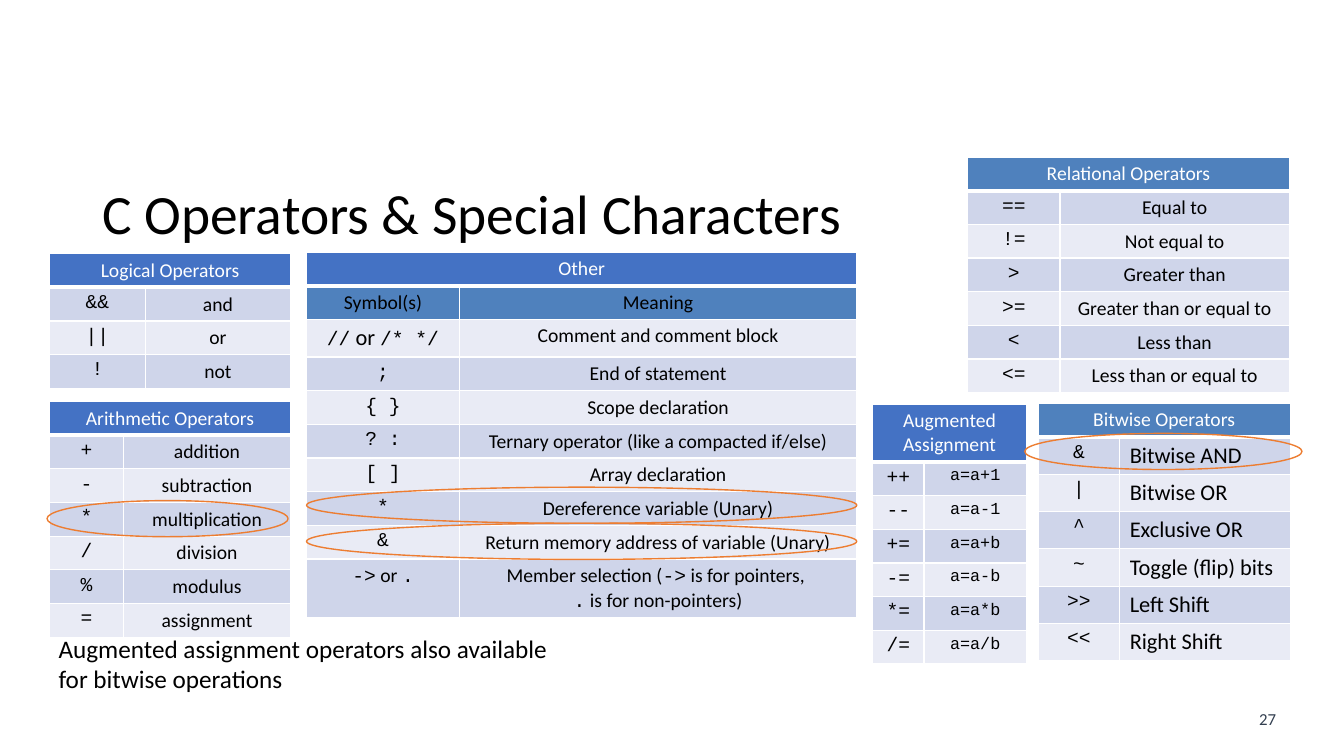
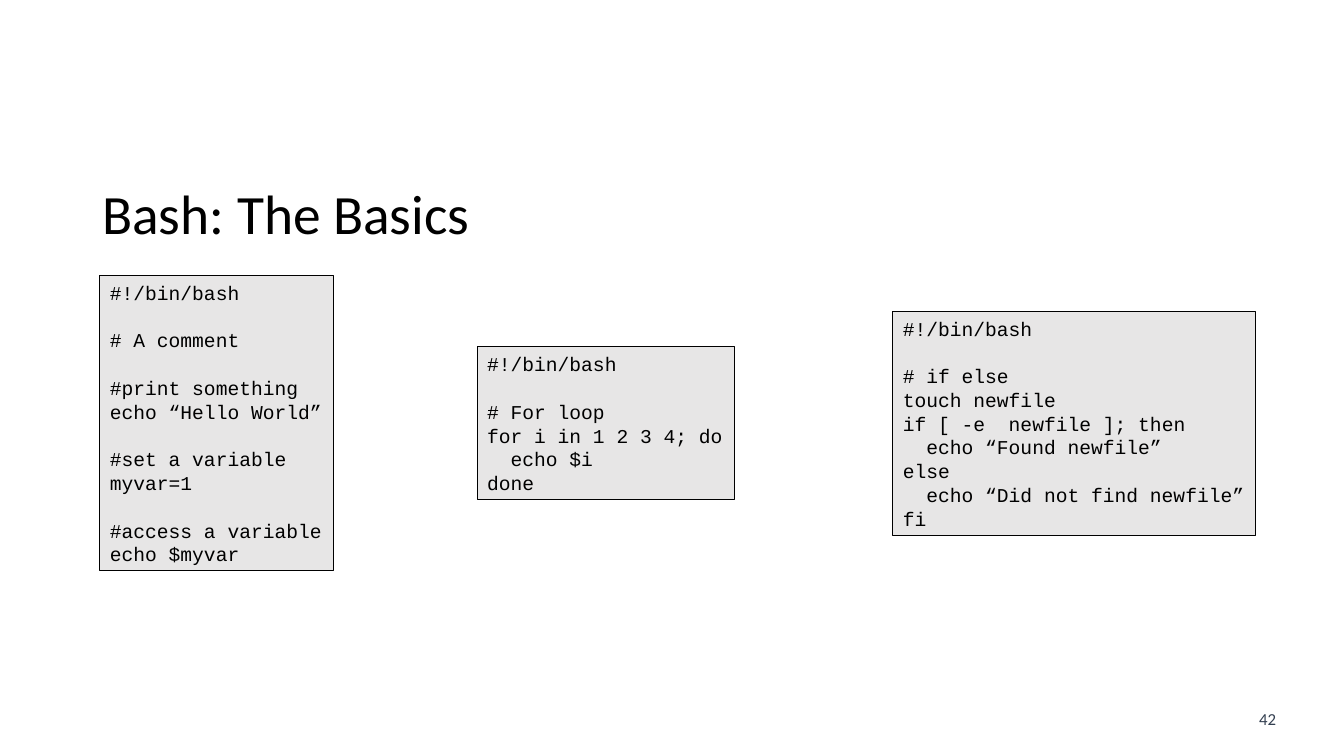
"""Build two programming reference slides: C operators and Bash basics."""
from dataclasses import dataclass
from typing import NamedTuple

from lxml.etree import SubElement
from pptx import Presentation
from pptx.dml.color import RGBColor
from pptx.enum.shapes import MSO_SHAPE as Shape
from pptx.enum.text import MSO_ANCHOR as Anchor, PP_ALIGN as Align
from pptx.oxml.ns import qn
from pptx.util import Inches, Length, Pt

COLUMNS, ROWS = 160, 90
UNIT = Inches(7.5) / ROWS
PROSE, CODE = "Calibri", "Courier New"
BLACK, WHITE, SLATE, PANEL = "000000", "FFFFFF", "333F50", "E7E6E6"
BLUE, STEEL, ORANGE = "4472C4", "4F81BD", "ED7D31"
BANDS = ("E9EBF5", "CFD5EA")
LINE_PITCH, CHARACTER = 2.83, 1.4
CODE_MIDDLE = 50.4
RING_HEIGHT = 4.3


class Area(NamedTuple):
    left: float
    top: float
    width: float
    height: float


class Span(NamedTuple):
    text: str
    font: str = PROSE
    size: float = 14
    color: str = BLACK


Cell = str | tuple[Span, ...]


@dataclass
class OperatorTable:
    title: str
    left: float
    top: float
    columns: tuple[float, float]
    heights: tuple[float, ...]
    rows: list[tuple[Cell, Cell]]
    head_fill: str = BLUE
    font: str = PROSE
    size: float = 14
    align: Align = Align.CENTER
    has_subhead: bool = False


@dataclass
class CodePanel:
    left: float
    text: str


TABLES = [
    OperatorTable("Relational Operators", 115.2, 18.7, (11, 27.3), (4,) * 7, [
        ("==", "Equal to"), ("!=", "Not equal to"), (">", "Greater than"),
        (">=", "Greater than or equal to"), ("<", "Less than"),
        ("<=", "Less than or equal to")], head_fill=STEEL),
    OperatorTable("Arithmetic Operators", 5.9, 47.8, (8.8, 19.9), (4,) * 7, [
        ("+", "addition"), ("-", "subtraction"), ("*", "multiplication"),
        ("/", "division"), ("%", "modulus"), ("=", "assignment")]),
    OperatorTable("Augmented Assignment", 103.9, 48.1, (6.1, 12.2), (6.9,) + (3.86,) * 6, [
        ("++", "a=a+1"), ("--", "a=a-1"), ("+=", "a=a+b"),
        ("-=", "a=a-b"), ("*=", "a=a*b"), ("/=", "a=a/b")], font=CODE, size=12),
    OperatorTable("Other", 36.5, 30, (18.2, 47.3), (4, 4, 4.5) + (4,) * 6 + (7,), [
        ((Span("Symbol(s)"),), "Meaning"),
        ((Span("//", CODE), Span(" or ", size=16), Span("/* */", CODE)),
         "Comment and comment block"),
        (";", "End of statement"), ("{ }", "Scope declaration"),
        ("? :", "Ternary operator (like a compacted if/else)"),
        ("[ ]", "Array declaration"), ("*", "Dereference variable (Unary)"),
        ("&", "Return memory address of variable (Unary)"),
        ((Span("->", CODE), Span(" or "), Span(".", CODE)),
         (Span("Member selection ("), Span("->", CODE), Span(" is for pointers, \n"),
          Span(".", CODE), Span(" is for non-pointers)")))], has_subhead=True),
    OperatorTable("Logical Operators", 5.9, 30.2, (11.4, 17.3), (4,) * 4, [
        ("&&", "and"), ("||", "or"), ("!", "not")]),
    OperatorTable("Bitwise Operators", 123.6, 48, (9.7, 20.3), (4,) + (4.45,) * 6, [
        ("&", "Bitwise AND"), ("|", "Bitwise OR"), ("^", "Exclusive OR"),
        ("~", "Toggle (flip) bits"), (">>", "Left Shift"), ("<<", "Right Shift")],
        head_fill=STEEL, size=16, align=Align.LEFT),
]

RINGS = [(5.6, 59.6, 28.7), (36.5, 58, 65.5), (36.5, 62.3, 65.5), (122, 51.6, 33)]

PANELS = [
    CodePanel(11.9, """#!/bin/bash

# A comment

#print something
echo “Hello World”

#set a variable
myvar=1

#access a variable
echo $myvar"""),
    CodePanel(56.8, """#!/bin/bash

# For loop
for i in 1 2 3 4; do
  echo $i
done"""),
    CodePanel(106.3, """#!/bin/bash

# if else
touch newfile
if [ -e  newfile ]; then
  echo “Found newfile”
else
  echo “Did not find newfile”
fi"""),
]


def grid(units: float) -> Length:
    return Length(round(units * UNIT))


def place(area: Area) -> tuple[Length, ...]:
    return tuple(grid(value) for value in area)


def color(value: str) -> RGBColor:
    return RGBColor.from_string(value)


def add_span(para, span: Span) -> None:
    for index, piece in enumerate(span.text.split("\n")):
        if index:
            para.add_line_break()
        if piece:
            run = para.add_run()
            run.text = piece
            run.font.name, run.font.size = span.font, Pt(span.size)
            run.font.color.rgb = color(span.color)


def add_text(page, area: Area, span: Span, align: Align = Align.LEFT,
             anchor: Anchor = Anchor.TOP, spacing: float = 1, wrap: bool = True) -> None:
    frame = page.shapes.add_textbox(*place(area)).text_frame
    frame.word_wrap, frame.vertical_anchor = wrap, anchor
    para = frame.paragraphs[0]
    para.alignment, para.line_spacing = align, spacing
    add_span(para, span)


def add_page(deck, title: str, number: str):
    page = deck.slides.add_slide(deck.slide_layouts[6])
    page.background.fill.solid()
    page.background.fill.fore_color.rgb = color(WHITE)
    add_text(page, Area(148.1, 83.8, 5.6, 3.6), Span(number, size=12, color=SLATE), Align.CENTER)
    add_text(page, Area(11, 21.6, 138, 8.4), Span(title, size=39.6),
             anchor=Anchor.MIDDLE, spacing=0.9)
    return page


def add_borders(cell, bottom: float) -> None:
    properties = cell._tc.get_or_add_tcPr()
    for side, width in (("L", 1), ("R", 1), ("T", 1), ("B", bottom)):
        line = SubElement(properties, qn(f"a:ln{side}"), w=str(Pt(width)))
        SubElement(SubElement(line, qn("a:solidFill")), qn("a:srgbClr"), val=WHITE)


def fill_cell(cell, fill: str, spans: tuple[Span, ...], align: Align, bottom: float = 1) -> None:
    add_borders(cell, bottom)
    cell.fill.solid()
    cell.fill.fore_color.rgb = color(fill)
    para = cell.text_frame.paragraphs[0]
    para.alignment = align
    for span in spans:
        add_span(para, span)


def add_operators(page, item: OperatorTable) -> None:
    area = Area(item.left, item.top, sum(item.columns), sum(item.heights))
    table = page.shapes.add_table(len(item.heights), 2, *place(area)).table
    for column, width in zip(table.columns, item.columns):
        column.width = grid(width)
    for row, height in zip(table.rows, item.heights):
        row.height = grid(height)
    table.cell(0, 0).merge(table.cell(0, 1))
    fill_cell(table.cell(0, 0), item.head_fill, (Span(item.title, color=WHITE),), Align.CENTER, 3)
    fill_cell(table.cell(0, 1), item.head_fill, (), Align.CENTER, 3)
    styles = ((CODE, 14, Align.CENTER), (item.font, item.size, item.align))
    for number, row in enumerate(item.rows, 1):
        fill = STEEL if item.has_subhead and number == 1 else BANDS[number % 2]
        for column, (content, (font, size, align)) in enumerate(zip(row, styles)):
            spans = (Span(content, font, size),) if isinstance(content, str) else content
            fill_cell(table.cell(number, column), fill, spans, align)


def add_ring(page, left: float, top: float, width: float) -> None:
    ring = page.shapes.add_shape(Shape.OVAL, *place(Area(left, top, width, RING_HEIGHT)))
    ring.shadow.inherit = False
    ring.fill.background()
    ring.line.color.rgb, ring.line.width = color(ORANGE), Pt(1)


def add_code(page, panel: CodePanel) -> None:
    lines = panel.text.splitlines()
    width = max(map(len, lines)) * CHARACTER + 2.6
    height = len(lines) * LINE_PITCH + 1.2
    area = Area(panel.left, CODE_MIDDLE - height / 2, width, height)
    box = page.shapes.add_shape(Shape.RECTANGLE, *place(area))
    box.shadow.inherit = False
    box.fill.solid()
    box.fill.fore_color.rgb = color(PANEL)
    box.line.color.rgb, box.line.width = color(BLACK), Pt(0.75)
    frame = box.text_frame
    frame.word_wrap, frame.vertical_anchor = False, Anchor.TOP
    para, blanks = frame.paragraphs[0], 0
    for number, line in enumerate(lines):
        if not line:
            blanks += 1
            continue
        if number:
            para = frame.add_paragraph()
        code = line.lstrip()
        para.alignment, para.line_spacing = Align.LEFT, Pt(LINE_PITCH * 6)
        para.space_before = Pt(blanks * LINE_PITCH * 6)
        para._p.get_or_add_pPr().set("marL", str(grid((len(line) - len(code)) * CHARACTER)))
        add_span(para, Span(code, CODE))
        blanks = 0


def main() -> None:
    deck = Presentation()
    deck.slide_width, deck.slide_height = grid(COLUMNS), grid(ROWS)
    page = add_page(deck, "C Operators & Special Characters", "27")
    for item in TABLES:
        add_operators(page, item)
    note = "Augmented assignment operators also available\nfor bitwise operations"
    add_text(page, Area(5.8, 74.8, 61.2, 8.5), Span(note, size=18), wrap=False)
    for ring in RINGS:
        add_ring(page, *ring)
    page = add_page(deck, "Bash: The Basics", "42")
    for panel in PANELS:
        add_code(page, panel)
    deck.save("out.pptx")


if __name__ == "__main__":
    main()
